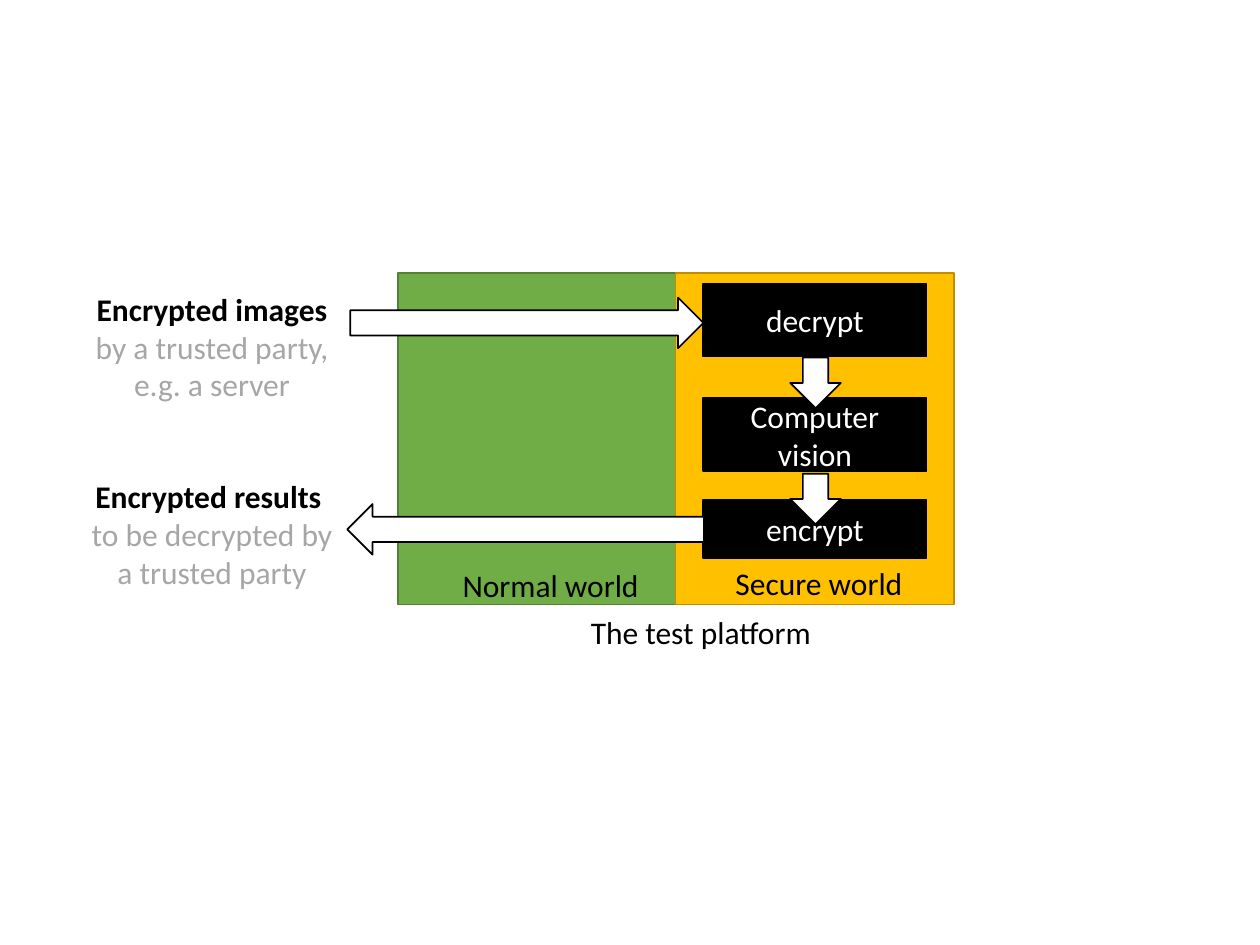
from dataclasses import dataclass

from pptx import Presentation
from pptx.dml.color import RGBColor
from pptx.enum.shapes import MSO_SHAPE
from pptx.enum.text import MSO_ANCHOR, MSO_AUTO_SIZE, PP_ALIGN
from pptx.util import Cm, Pt


@dataclass(frozen=True)
class Theme:
    font: str = "Calibri"
    size: int = 18
    line: int = 1
    black: str = "000000"
    white: str = "FFFFFF"
    grey: str = "A6A6A6"
    green: str = "70AD47"
    green_edge: str = "538035"
    amber: str = "FFC000"
    amber_edge: str = "BD8E00"


theme = Theme()
deck = Presentation()
deck.slide_width, deck.slide_height = Cm(25.4), Cm(19.05)
page = deck.slides.add_slide(deck.slide_layouts[6])


def add_figure(kind, left, top, width, height, fill, edge):
    figure = page.shapes.add_shape(kind, Cm(left), Cm(top), Cm(width), Cm(height))
    figure.shadow.inherit = False
    figure.fill.solid()
    figure.fill.fore_color.rgb = RGBColor.from_string(fill)
    figure.line.color.rgb = RGBColor.from_string(edge)
    figure.line.width = Pt(theme.line)
    return figure


def write(frame, lines, align=PP_ALIGN.CENTER):
    for index, (text, color, bold) in enumerate(lines):
        para = frame.add_paragraph() if index else frame.paragraphs[0]
        para.alignment = align
        span = para.add_run()
        span.text = text
        span.font.name = theme.font
        span.font.size = Pt(theme.size)
        span.font.bold = bold
        span.font.color.rgb = RGBColor.from_string(color)


worlds = [
    (8.03, theme.green, theme.green_edge),
    (13.62, theme.amber, theme.amber_edge),
]
for left, fill, edge in worlds:
    add_figure(MSO_SHAPE.RECTANGLE, left, 5.51, 5.61, 6.68, fill, edge)

steps = [
    ("decrypt", 5.72, 1.47),
    ("Computer vision", 8.03, 1.47),
    ("encrypt", 10.08, 1.17),
]
for name, top, height in steps:
    box = add_figure(MSO_SHAPE.RECTANGLE, 14.18, top, 4.5, height, theme.black, theme.black)
    box.text_frame.word_wrap = True
    box.text_frame.vertical_anchor = MSO_ANCHOR.MIDDLE
    write(box.text_frame, [(name, theme.white, False)])

parties = [
    (1.24, 5.72, 6.07, "Encrypted images", "by a trusted party, e.g. a server"),
    (1.47, 9.5, 5.61, "Encrypted results ", "to be decrypted by a trusted party"),
]
for left, top, width, title, detail in parties:
    box = page.shapes.add_textbox(Cm(left), Cm(top), Cm(width), Cm(2.57))
    box.text_frame.word_wrap = True
    box.text_frame.auto_size = MSO_AUTO_SIZE.SHAPE_TO_FIT_TEXT
    write(box.text_frame, [(title, theme.black, True), (detail, theme.grey, False)])

labels = [
    ("Normal world", 4.75, 11.28, 12.7, True, PP_ALIGN.CENTER),
    ("Secure world", 10.16, 11.25, 12.7, True, PP_ALIGN.CENTER),
    ("The test platform", 11.66, 12.24, 5.05, False, PP_ALIGN.LEFT),
]
for text, left, top, width, wrap, align in labels:
    box = page.shapes.add_textbox(Cm(left), Cm(top), Cm(width), Cm(1.02))
    box.text_frame.word_wrap = wrap
    box.text_frame.auto_size = MSO_AUTO_SIZE.SHAPE_TO_FIT_TEXT
    write(box.text_frame, [(text, theme.black, False)], align)

arrows = [
    (7.06, 6, 7.12, 0),
    (15.93, 7.21, 1.02, 90),
    (15.93, 9.55, 1.02, 90),
    (7, 10.16, 7.19, 180),
]
for left, top, length, turn in arrows:
    arrow = add_figure(MSO_SHAPE.RIGHT_ARROW, left, top, length, 1.02, theme.white, theme.black)
    arrow.rotation = turn

deck.save("out.pptx")
